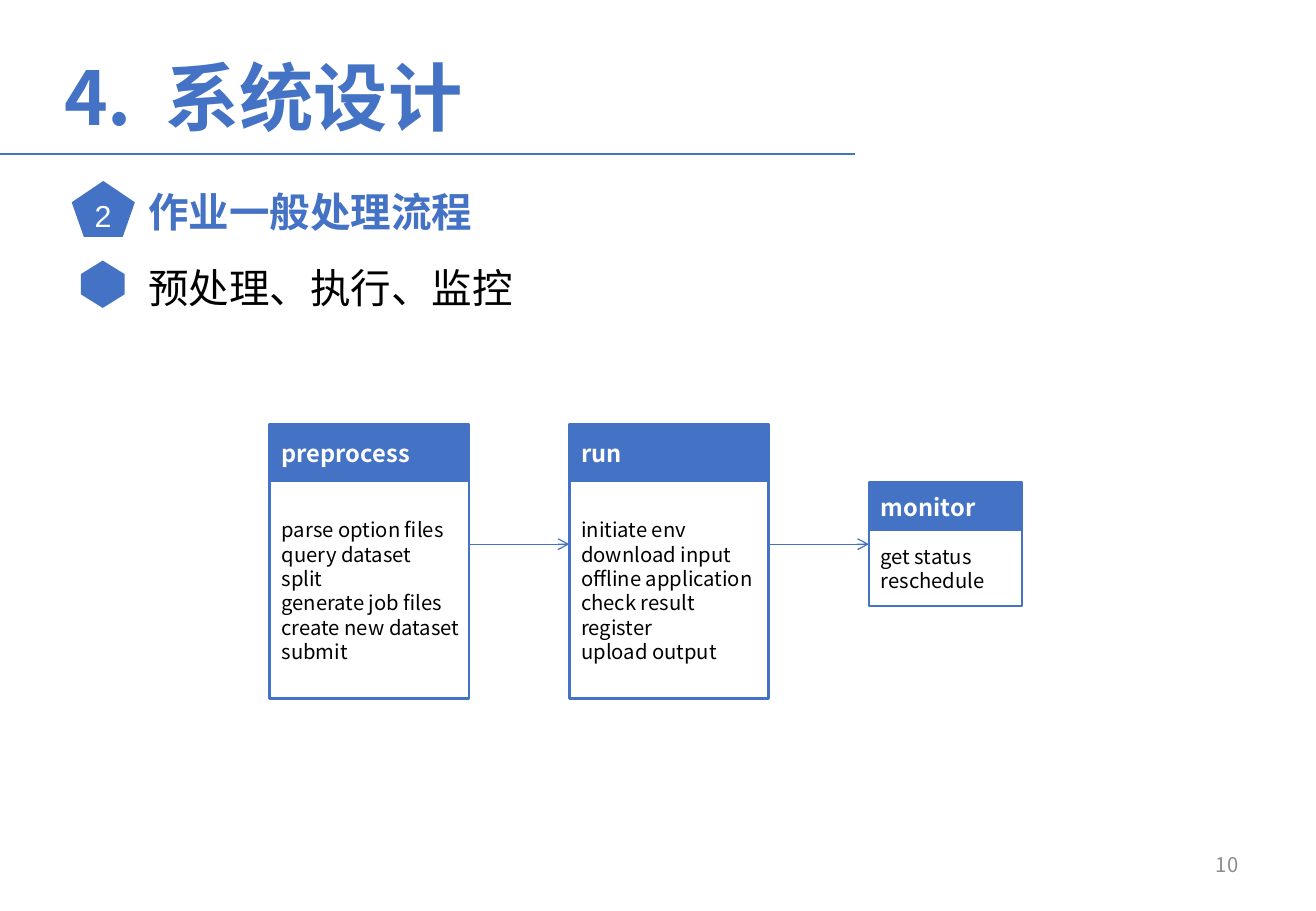
import pptx
import pptx.util
import pptx.dml.color
import pptx.enum.shapes
import pptx.enum.text
import pptx.oxml
import pptx.oxml.ns

COLORS = {"blue": "4472C4", "black": "000000", "white": "FFFFFF", "gray": "8C8C8C"}
FONT = "Noto Sans CJK SC"
SHAPE = pptx.enum.shapes.MSO_SHAPE
ALIGN = pptx.enum.text.PP_ALIGN
ANCHOR = pptx.enum.text.MSO_ANCHOR

ROWS = 75            # square grid cells down the slide
LEADING = 1.2        # line pitch, in font sizes
TOP_SHIFT = 0.08     # extra top inset, in font sizes

# Flow: columns start at equal steps
FIRST_COLUMN, COLUMN_STEP, ARROW_ROW = 22.2, 24.65, 44.8
STAGES = [  # name, tasks, top, width, header height, body height
    ("preprocess", ["parse option files", "query dataset", "split",
                    "generate job files", "create new dataset", "submit"],
     34.9, 16.4, 4.7, 17.9),
    ("run", ["initiate env", "download input", "offline application",
             "check result", "register", "upload output"],
     34.9, 16.4, 4.7, 17.9),
    ("monitor", ["get status", "reschedule"], 39.7, 12.6, 3.9, 6.3),
]


def grid(cells):
    return pptx.util.Inches(7.5 / ROWS * cells)


def color(name):
    return pptx.dml.color.RGBColor.from_string(COLORS[name])


def write(box, lines, size, ink, bold=False, align=ALIGN.LEFT,
          anchor=ANCHOR.TOP, wrap=True, font=FONT, leading=LEADING):
    """Each line is a list of spans and becomes one paragraph."""
    frame = box.text_frame
    frame.word_wrap = wrap
    frame.vertical_anchor = anchor
    frame.margin_left = frame.margin_right = grid(1)
    frame.margin_bottom = grid(0.5)
    frame.margin_top = grid(0.5) + pptx.util.Pt(TOP_SHIFT * size)
    for index, spans in enumerate(lines):
        para = frame.add_paragraph() if index else frame.paragraphs[0]
        for text in spans:
            para.add_run().text = text
        para.alignment = align
        if leading:
            para.line_spacing = pptx.util.Pt(leading * size)
        para.font.name = font
        para.font.size = pptx.util.Pt(size)
        para.font.bold = bold
        para.font.color.rgb = color(ink)
        for span in para.runs:  # East Asian glyphs use the same typeface
            properties = span.font._element
            east_asian = pptx.oxml.parse_xml(
                '<a:ea %s typeface="%s"/>' % (pptx.oxml.ns.nsdecls("a"), font))
            properties.append(east_asian)


def add_text(page, area, spans, size, ink, **style):
    box = page.shapes.add_textbox(*map(grid, area))
    write(box, [spans], size, ink, **style)
    return box


def add_block(page, kind, area, filled=True, outline=0):
    block = page.shapes.add_shape(kind, *map(grid, area))
    block.shadow.inherit = False
    if filled:
        block.fill.solid()
        block.fill.fore_color.rgb = color("blue")
    else:
        block.fill.background()
    if outline:
        block.line.color.rgb = color("blue")
        block.line.width = pptx.util.Pt(outline)
    else:
        block.line.fill.background()
    return block


def add_line(page, left, right, row, width, arrow=False):
    line = page.shapes.add_connector(
        pptx.enum.shapes.MSO_CONNECTOR.STRAIGHT,
        grid(left), grid(row), grid(right), grid(row))
    line.line.color.rgb = color("blue")
    line.line.width = pptx.util.Pt(width)
    namespace = pptx.oxml.ns.nsdecls("a")
    if arrow:
        line.line._get_or_add_ln().append(
            pptx.oxml.parse_xml('<a:tailEnd %s type="arrow"/>' % namespace))
    line._element.spPr.append(
        pptx.oxml.parse_xml("<a:effectLst %s/>" % namespace))


def add_stage(page, left, name, tasks, top, width, header_height, body_height):
    body = add_block(page, SHAPE.RECTANGLE,
                     (left, top + header_height, width, body_height),
                     filled=False, outline=1.5)
    write(body, [[task] for task in tasks], 12, "black",
          anchor=ANCHOR.MIDDLE, wrap=False)
    header = add_block(page, SHAPE.RECTANGLE,
                       (left, top, width, header_height), outline=1.5)
    write(header, [[name]], 14, "white", bold=True, anchor=ANCHOR.MIDDLE)


def main():
    deck = pptx.Presentation()
    deck.slide_width, deck.slide_height = grid(108.3), grid(ROWS)
    page = deck.slides.add_slide(deck.slide_layouts[6])

    # Title and rule
    add_line(page, 0, 70.4, 12.7, 1.25)
    title = add_text(page, (4.3, 3.2, 87, 7.1), ["4.", " ", "系统设计"],
                     44, "blue", bold=True)
    gap = title.text_frame.paragraphs[0].runs[1]
    gap.font._element.set("spc", "970")  # widen the gap after the number

    # Section heading and its topic
    add_block(page, SHAPE.REGULAR_PENTAGON, (5.9, 14.9, 5.2, 4.6))
    add_text(page, (6.8, 15.5, 3.4, 4), ["2"], 18, "white",
             wrap=False, font="Arial", leading=None)
    add_text(page, (11.2, 14.6, 83.9, 5), ["作业一般处理流程"], 24, "blue", bold=True)
    bullet = add_block(page, SHAPE.HEXAGON, (6.5, 21.6, 3.9, 3.6))
    bullet.adjustments[0] = 0.31
    bullet.rotation = 90
    add_text(page, (11.2, 20.9, 50.5, 5), ["预处理、执行、监控"], 24, "black")

    # Stages, each joined to the one before
    previous_right = None
    for index, stage in enumerate(STAGES):
        left = FIRST_COLUMN + index * COLUMN_STEP
        add_stage(page, left, *stage)
        if previous_right is not None:
            add_line(page, previous_right, left, ARROW_ROW, 0.75, arrow=True)
        previous_right = left + stage[3]

    # Page number
    add_text(page, (77.6, 69.5, 25.3, 4), ["10"], 12, "gray", align=ALIGN.RIGHT)
    deck.save("out.pptx")


if __name__ == "__main__":
    main()
